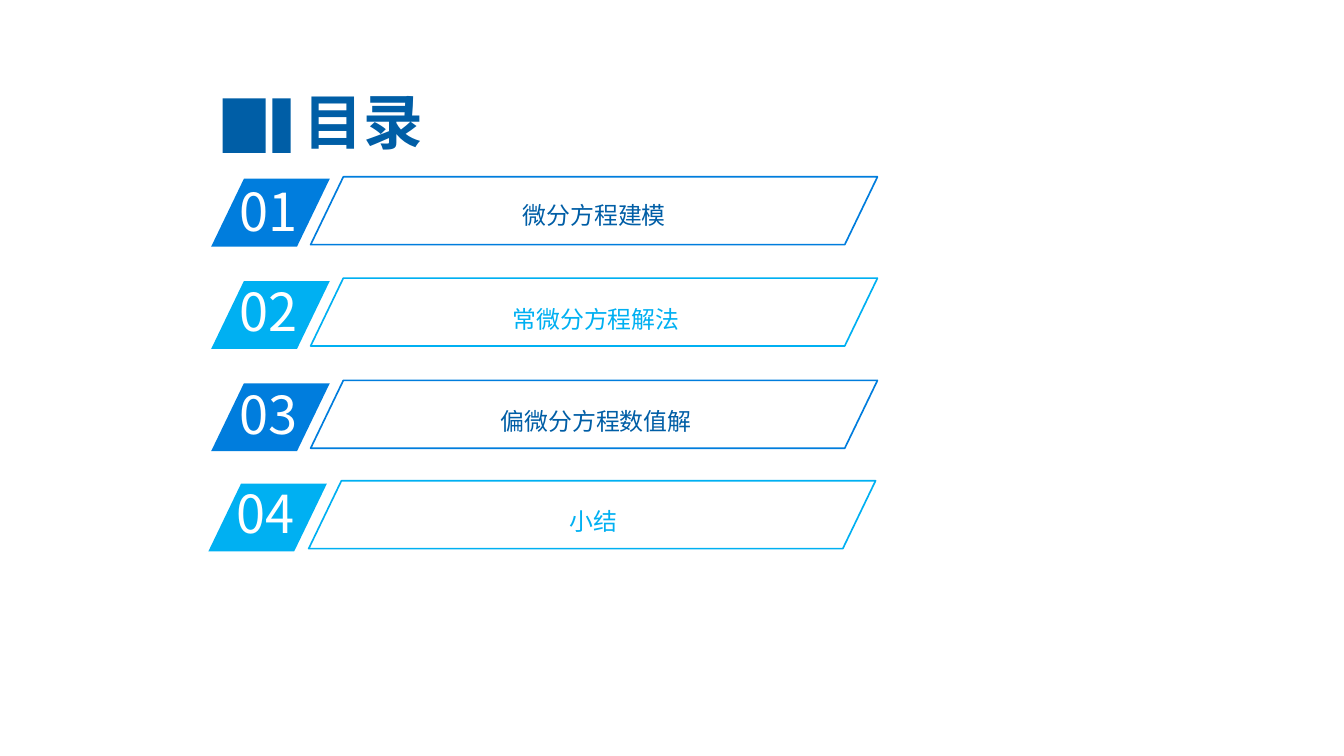
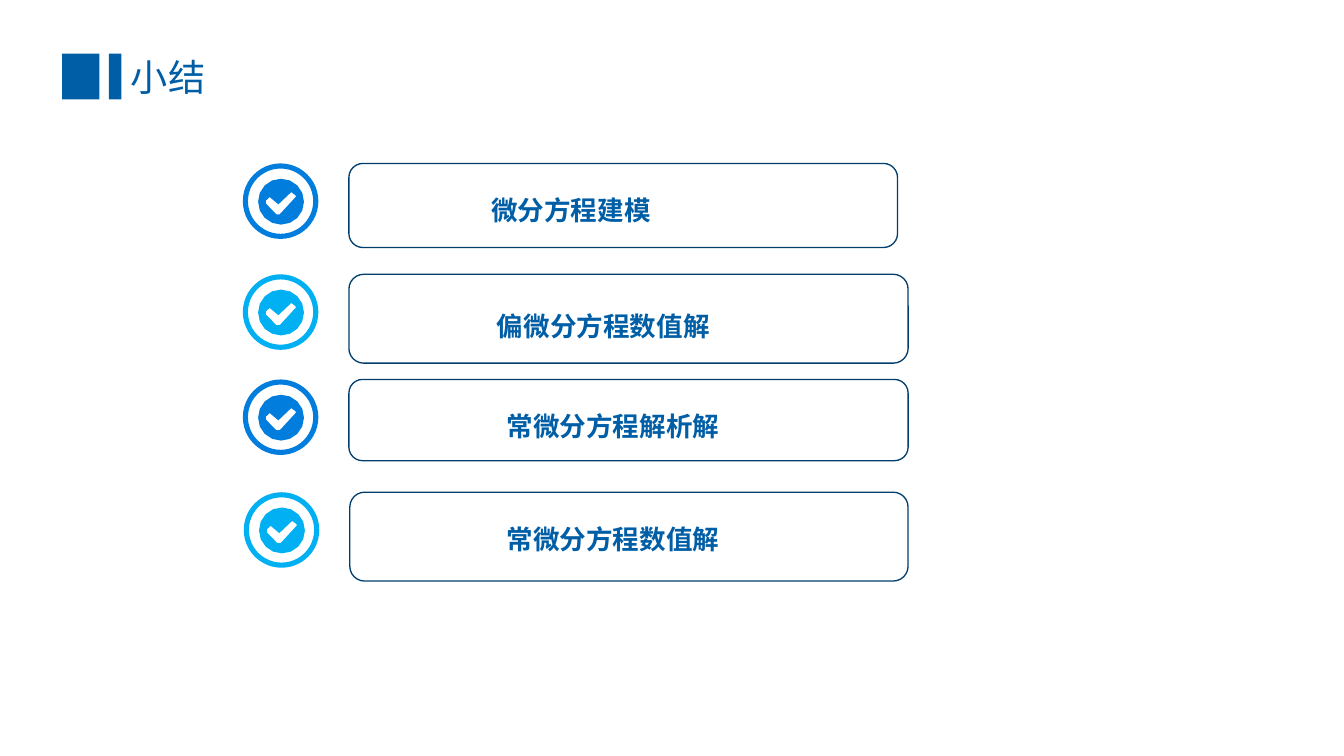
"""Build a contents slide and a summary slide on differential equations."""
from dataclasses import dataclass
from math import cos, pi, sin

from lxml.etree import SubElement
from pptx import Presentation
from pptx.dml.color import RGBColor
from pptx.enum.shapes import MSO_SHAPE
from pptx.enum.text import MSO_ANCHOR, MSO_AUTO_SIZE, PP_ALIGN
from pptx.oxml.ns import qn
from pptx.shapes.autoshape import Shape
from pptx.slide import Slide
from pptx.util import Inches, Pt

FONT = "Noto Sans CJK SC"
NAVY = RGBColor(0x00, 0x3E, 0x6E)
DEEP_BLUE = RGBColor(0x00, 0x5E, 0xA6)
BLUE = RGBColor(0x00, 0x7D, 0xDD)
SKY = RGBColor(0x00, 0xB0, 0xF2)
WHITE = RGBColor(0xFF, 0xFF, 0xFF)
ACCENTS = (BLUE, SKY)
CAPTION_COLORS = (DEEP_BLUE, SKY)

RECTANGLE = MSO_SHAPE.RECTANGLE
PARALLELOGRAM = MSO_SHAPE.PARALLELOGRAM
ROUNDED = MSO_SHAPE.ROUNDED_RECTANGLE
DONUT = MSO_SHAPE.DONUT
TOP, MIDDLE = MSO_ANCHOR.TOP, MSO_ANCHOR.MIDDLE
LEFT, CENTER, JUSTIFY = PP_ALIGN.LEFT, PP_ALIGN.CENTER, PP_ALIGN.JUSTIFY
NO_AUTOSIZE = MSO_AUTO_SIZE.NONE
GROW = MSO_AUTO_SIZE.SHAPE_TO_FIT_TEXT

SLANT = 0.482
RING_WIDTH = 0.068
DISC_RADIUS = 240
DISC_STEPS = 16
TICK = (
    (390, 172), (347, 140), (212, 268), (122, 192),
    (82, 228), (82, 260), (190, 372), (227, 372), (397, 187),
)


@dataclass(frozen=True)
class Box:
    """A rectangle in inches."""

    left: float
    top: float
    width: float
    height: float

    def lengths(self) -> tuple[Inches, Inches, Inches, Inches]:
        """Return the four measures as lengths."""
        return (Inches(self.left), Inches(self.top),
                Inches(self.width), Inches(self.height))


@dataclass(frozen=True)
class TextStyle:
    """The look of one paragraph."""

    size: float
    color: RGBColor
    bold: bool = False
    align: PP_ALIGN = LEFT
    spacing: float = 1.0


@dataclass(frozen=True)
class Chapter:
    """A numbered line of the contents."""

    caption: str
    left: float
    top: float
    number_top: float
    caption_left: float
    caption_top: float
    frame_left: float
    frame_top: float


@dataclass(frozen=True)
class Conclusion:
    """A ticked line of the summary."""

    caption: str
    ring_left: float
    ring_top: float
    caption_box: Box
    wraps: bool
    frame: Box


CHAPTERS = (
    Chapter("微分方程建模", 2.21, 1.87, 1.83, 4.04, 1.9, 3.25, 1.85),
    Chapter("常微分方程解法", 2.21, 2.94, 2.87, 4.06, 2.99, 3.25, 2.91),
    Chapter("偏微分方程数值解", 2.21, 4.01, 3.95, 4.06, 4.05, 3.25, 3.98),
    Chapter("小结", 2.18, 5.06, 4.99, 4.03, 5.1, 3.23, 5.03),
)
CONCLUSIONS = (
    Conclusion("微分方程建模", 2.54, 1.71, Box(5.04, 1.91, 3.01, 0.45), True,
               Box(3.65, 1.71, 5.74, 0.88)),
    Conclusion("偏微分方程数值解", 2.54, 2.87, Box(5.1, 3.13, 2.46, 0.45), False,
               Box(3.65, 2.87, 5.85, 0.93)),
    Conclusion("常微分方程解析解", 2.54, 3.97, Box(5.2, 4.17, 2.46, 0.45), False,
               Box(3.65, 3.97, 5.85, 0.85)),
    Conclusion("常微分方程数值解", 2.55, 5.15, Box(5.2, 5.36, 2.46, 0.45), False,
               Box(3.66, 5.15, 5.84, 0.93)),
)


def write(holder: Shape, text: str, style: TextStyle, anchor: MSO_ANCHOR = TOP,
          sizing: MSO_AUTO_SIZE = GROW, wraps: bool = True) -> None:
    """Put one styled paragraph into a text holder."""
    frame = holder.text_frame
    frame.word_wrap = wraps
    frame.auto_size = sizing
    frame.vertical_anchor = anchor
    frame.text = text
    paragraph = frame.paragraphs[0]
    paragraph.alignment = style.align
    paragraph.line_spacing = style.spacing
    font = paragraph.font
    font.name = FONT
    font.size = Pt(style.size)
    font.bold = style.bold
    font.color.rgb = style.color
    defaults = paragraph._p.find(".//" + qn("a:defRPr"))
    SubElement(defaults, qn("a:ea")).set("typeface", FONT)


def add_label(slide: Slide, box: Box, text: str, style: TextStyle,
              wraps: bool = True) -> None:
    """Add a text box with one paragraph."""
    write(slide.shapes.add_textbox(*box.lengths()), text, style, wraps=wraps)


def paint(solid: Shape, color: RGBColor) -> None:
    """Fill a shape and remove its outline and shadow."""
    solid.shadow.inherit = False
    solid.fill.solid()
    solid.fill.fore_color.rgb = color
    solid.line.fill.background()


def add_filled(slide: Slide, kind: MSO_SHAPE, box: Box, color: RGBColor,
               adjustment: float | None = None) -> None:
    """Add a solid shape without outline."""
    solid = slide.shapes.add_shape(kind, *box.lengths())
    if adjustment is not None:
        solid.adjustments[0] = adjustment
    paint(solid, color)


def add_outlined(slide: Slide, kind: MSO_SHAPE, box: Box, color: RGBColor,
                 weight: float, adjustment: float) -> None:
    """Add an unfilled shape with a coloured outline."""
    outline = slide.shapes.add_shape(kind, *box.lengths())
    outline.adjustments[0] = adjustment
    outline.shadow.inherit = False
    outline.fill.background()
    outline.line.color.rgb = color
    outline.line.width = Pt(weight)


def add_heading(slide: Slide, text: str, box: Box, style: TextStyle,
                bars: tuple[Box, Box]) -> None:
    """Set the slide title and its two leading bars."""
    title = slide.shapes.title
    title.left, title.top, title.width, title.height = box.lengths()
    write(title, text, style, MIDDLE, NO_AUTOSIZE)
    for bar in bars:
        add_filled(slide, RECTANGLE, bar, DEEP_BLUE)


def add_tick_disc(slide: Slide, left: float, top: float, color: RGBColor) -> None:
    """Add a disc with a tick cut out of it."""
    angles = [2 * pi * step / DISC_STEPS for step in range(DISC_STEPS)]
    rim = [(DISC_RADIUS * (1 + cos(angle)), DISC_RADIUS * (1 + sin(angle)))
           for angle in angles]
    outline = slide.shapes.build_freeform(*rim[0], scale=Inches(1) / 1000)
    outline.add_line_segments(rim[1:], close=True)
    outline.move_to(*TICK[0])
    outline.add_line_segments(TICK[1:], close=True)
    paint(outline.convert_to_shape(Inches(left), Inches(top)), color)


def build_contents(slide: Slide) -> None:
    """Draw the contents slide."""
    add_heading(slide, "目录", Box(2.07, 0.88, 3.47, 0.76),
                TextStyle(45, DEEP_BLUE, bold=True, align=CENTER),
                (Box(2.33, 1.03, 0.45, 0.57), Box(2.85, 1.03, 0.19, 0.57)))
    number_style = TextStyle(39.4, WHITE)
    for index, chapter in enumerate(CHAPTERS):
        accent = ACCENTS[index % 2]
        caption_style = TextStyle(18, CAPTION_COLORS[index % 2], align=CENTER, spacing=1.5)
        add_filled(slide, PARALLELOGRAM, Box(chapter.left, chapter.top, 1.24, 0.71),
                   accent, SLANT)
        add_label(slide, Box(chapter.left + 0.2, chapter.number_top, 1.18, 0.76),
                  f"{index + 1:02d}", number_style)
        add_label(slide, Box(chapter.caption_left, chapter.caption_top, 4.35, 0.49),
                  chapter.caption, caption_style)
        add_outlined(slide, PARALLELOGRAM,
                     Box(chapter.frame_left, chapter.frame_top, 5.93, 0.71),
                     accent, 1.25, SLANT)


def build_summary(slide: Slide) -> None:
    """Draw the summary slide."""
    add_heading(slide, "小结", Box(1.27, 0.52, 5.3, 0.57), TextStyle(28, DEEP_BLUE),
                (Box(0.65, 0.56, 0.39, 0.48), Box(1.14, 0.56, 0.13, 0.48)))
    caption_style = TextStyle(20, DEEP_BLUE, bold=True, align=JUSTIFY, spacing=1.2)
    for index, conclusion in enumerate(CONCLUSIONS):
        accent = ACCENTS[index % 2]
        ring = Box(conclusion.ring_left, conclusion.ring_top, 0.79, 0.79)
        add_filled(slide, DONUT, ring, accent, RING_WIDTH)
        add_tick_disc(slide, ring.left + 0.16, ring.top + 0.16, accent)
        add_label(slide, conclusion.caption_box, conclusion.caption,
                  caption_style, conclusion.wraps)
        add_outlined(slide, ROUNDED, conclusion.frame, NAVY, 1, 0.167)


def main() -> None:
    """Build and save the presentation."""
    deck = Presentation()
    deck.slide_width, deck.slide_height = Inches(14.06), Inches(7.91)
    title_only = deck.slide_layouts[5]
    for build in (build_contents, build_summary):
        build(deck.slides.add_slide(title_only))
    deck.save("out.pptx")


if __name__ == "__main__":
    main()
